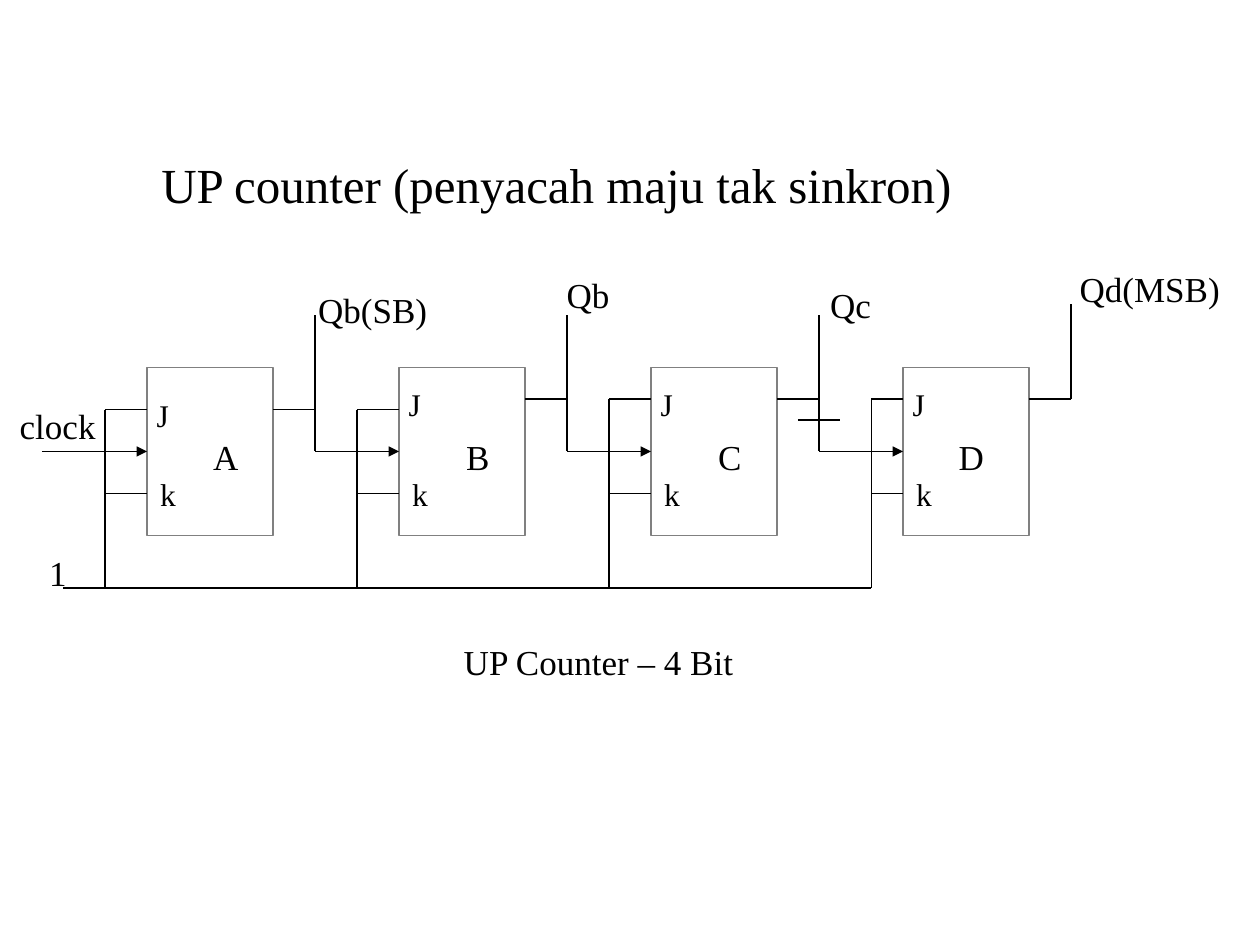
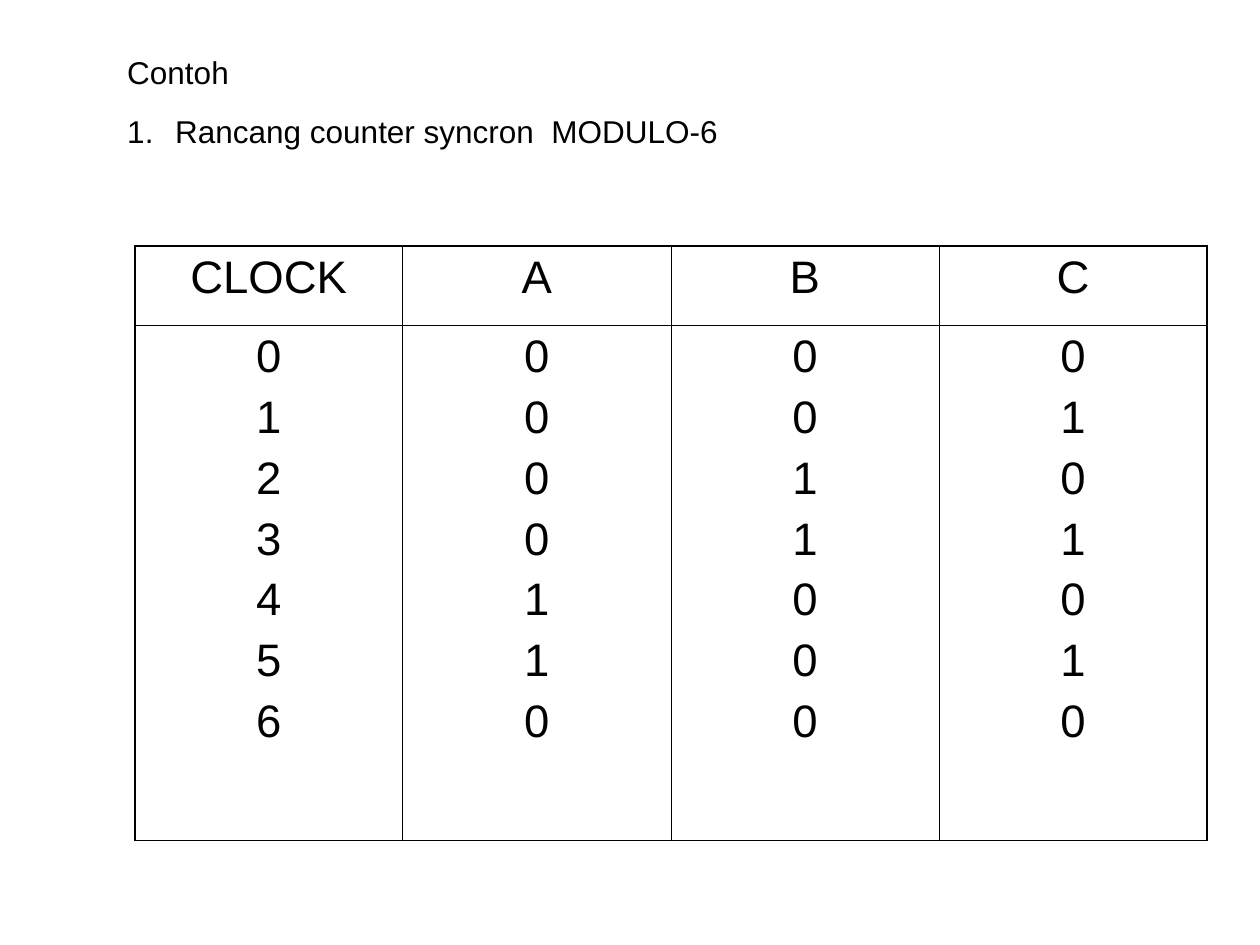
from dataclasses import dataclass

from lxml import etree
from pptx import Presentation
from pptx import util as u
from pptx.dml import color
from pptx.enum import shapes, text
from pptx.oxml import ns

Pt = u.Pt


@dataclass(frozen=True)
class Theme:
    ink: str = "000000"
    frame: str = "808080"
    serif: str = "Times New Roman"
    sans: str = "Arial"
    title: int = 28
    label: int = 20
    pin: int = 18
    list: int = 18
    table: int = 26
    wire: float = 0.75
    thin: float = 0.45
    thick: float = 1.08


T = Theme()

# Content: counter circuit, lengths in points
TITLE = "UP counter (penyacah maju tak sinkron)"
# Per flip-flop: name, name left, J wire y, J label top, rail x, output y, output top
FLOPS = [
    ("A", 114, 234, 228, 60, 234, 180),
    ("B", 258, 234, 222, 204, 228, 180),
    ("C", 402, 228, 222, 348, 228, 180),
    ("D", 540, 228, 222, 498, 228, 174),
]
LABELS = [
    ("clock", (12, 234, 42, 18)),
    ("1", (24, 318, 18, 18)),
    ("Qb(SB)", (180, 168, 66, 18)),
    ("Qb", (318, 150, 36, 36)),
    ("Qc", (468, 156, 36, 36)),
    ("Qd(MSB)", (630, 150, 54, 30)),
    ("UP Counter – 4 Bit", (192, 366, 300, 24)),
]

# Content: modulo-6 example
INTRO = ["Contoh", "Rancang counter syncron  MODULO-6"]
HEADS = ["CLOCK", "A", "B", "C"]
COUNTS = ["0123456", "0000110", "0011000", "0101010"]

# Circuit grid
LEFT, TOP, WIDE, HIGH, STEP = 84, 210, 72, 96, 144
STUB = 24
CLOCK, KPIN, BUS = TOP + HIGH // 2, 282, 336


def put(obj, vals):
    for key, val in vals.items():
        setattr(obj, key, val)


def pts(nums):
    return [Pt(n) for n in nums]


def place(shape, box):
    put(shape, dict(zip(("left", "top", "width", "height"), pts(box))))


def style(para, size, face, **fmt):
    put(para, fmt)
    put(para.font, {"size": Pt(size), "name": face, "bold": False})
    para.font.color.rgb = color.RGBColor.from_string(T.ink)


def add(node, tag, **attrs):
    return etree.SubElement(node, ns.qn(tag), attrs)


def write(shape, words, size):
    frame = shape.text_frame
    put(frame, {"text": words, "word_wrap": False,
                "auto_size": text.MSO_AUTO_SIZE.NONE,
                "vertical_anchor": text.MSO_ANCHOR.MIDDLE})
    style(frame.paragraphs[0], size, T.serif, alignment=text.PP_ALIGN.CENTER)


def label(slide, words, box, size=T.label):
    write(slide.shapes.add_textbox(*pts(box)), words, size)


def wire(slide, x1, y1, x2, y2, into=None):
    line = slide.shapes.add_connector(
        shapes.MSO_CONNECTOR.STRAIGHT, *pts((x1, y1, x2, y2)))
    line.line.width = Pt(T.wire)
    line.line.color.rgb = color.RGBColor.from_string(T.ink)
    if into is not None:
        line.end_connect(into, 1)
        add(line.line._get_or_add_ln(), "a:tailEnd", type="triangle")
    add(line._element.spPr, "a:effectLst")


def block(slide, x):
    box = slide.shapes.add_shape(
        shapes.MSO_SHAPE.RECTANGLE, *pts((x, TOP, WIDE, HIGH)))
    box.shadow.inherit = False
    box.fill.background()
    box.line.width = Pt(T.wire)
    box.line.color.rgb = color.RGBColor.from_string(T.frame)
    return box


def circuit(deck):
    slide = deck.slides.add_slide(deck.slide_layouts[5])
    place(slide.shapes.title, (84, 84, 468, 42))
    write(slide.shapes.title, TITLE, T.title)

    # Flip-flops with their wires; each output clocks the next one
    start = 24
    for i, (name, mid, jpin, jtop, rail, out, peak) in enumerate(FLOPS):
        x = LEFT + i * STEP
        end = x + WIDE + STUB
        box = block(slide, x)
        wire(slide, start, CLOCK, x, CLOCK, into=box)
        wire(slide, rail, jpin, x, jpin)
        wire(slide, rail, KPIN, x, KPIN)
        wire(slide, rail, jpin, rail, BUS)
        wire(slide, x + WIDE, out, end, out)
        last = i == len(FLOPS) - 1
        wire(slide, end, peak, end, out if last else CLOCK)
        label(slide, "J", (x, jtop, 18, 18), T.pin)
        label(slide, "k", (x + 6, 270, 12, 24), T.pin)
        label(slide, name, (mid, 246, 30, 30))
        start = end

    # Constant-one bus and the tick on the third output
    first, final = FLOPS[0][4], FLOPS[-1][4]
    wire(slide, first, BUS, final, BUS)
    wire(slide, first, BUS, first - STUB, BUS)
    wire(slide, 456, 240, 480, 240)

    for words, box in LABELS:
        label(slide, words, box)


def border(cell, widths):
    props = cell._tc.get_or_add_tcPr()
    for i, (side, width) in enumerate(zip("LRTB", widths)):
        line = etree.Element(ns.qn(f"a:ln{side}"), w=str(Pt(width)))
        add(add(line, "a:solidFill"), "a:srgbClr", val=T.ink)
        props.insert(i, line)


def example(deck):
    slide = deck.slides.add_slide(deck.slide_layouts[1])
    title = slide.shapes.title._element
    title.getparent().remove(title)

    # Heading line and numbered task
    body = slide.placeholders[1]
    place(body, (65.5, 26.6, 595.5, 62))
    frame = body.text_frame
    put(frame, {"text": "\n".join(INTRO), "word_wrap": True,
                "auto_size": text.MSO_AUTO_SIZE.NONE})
    for i, para in enumerate(frame.paragraphs):
        props = para._p.get_or_add_pPr()
        put_ind = {"marL": Pt(27.4), "indent": -Pt(27.4)}
        for key, val in put_ind.items():
            props.set(key, str(val))
        if i:
            add(props, "a:buFont", typeface=T.sans)
            add(props, "a:buAutoNum", type="arabicPeriod")
        else:
            add(props, "a:buNone")
        style(para, T.list, T.sans, space_before=Pt(12 if i else 0))

    # State table: one heading row, one row of stacked counts
    rows = [HEADS, ["\n".join(col) for col in COUNTS]]
    grid = slide.shapes.add_table(
        2, len(HEADS), *pts((77, 140.4, 612.8, 339.9))).table
    put(grid, {"first_row": False, "horz_banding": False})
    for row, high in zip(grid.rows, (45.4, 294.5)):
        row.height = Pt(high)
    end = len(HEADS) - 1
    for r, row in enumerate(rows):
        for c, words in enumerate(row):
            cell = grid.cell(r, c)
            cell.text = words
            cell.fill.background()
            edges = (c == 0, c == end, r == 0, r == 1)
            border(cell, [T.thick if edge else T.thin for edge in edges])
            for i, para in enumerate(cell.text_frame.paragraphs):
                style(para, T.table, T.sans, space_before=Pt(5.7 if i else 0),
                      alignment=text.PP_ALIGN.CENTER)


def main():
    deck = Presentation()
    put(deck, {"slide_width": Pt(720), "slide_height": Pt(540)})
    circuit(deck)
    example(deck)
    deck.save("out.pptx")


if __name__ == "__main__":
    main()
